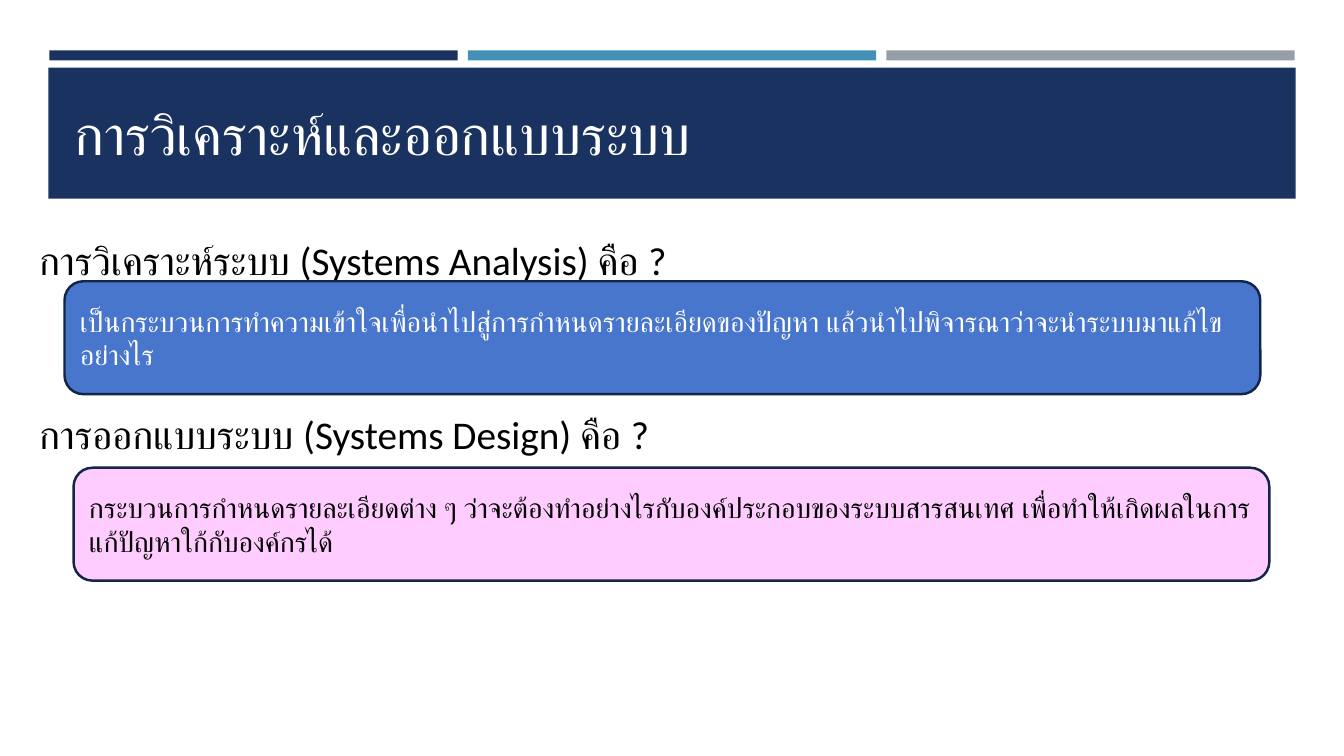
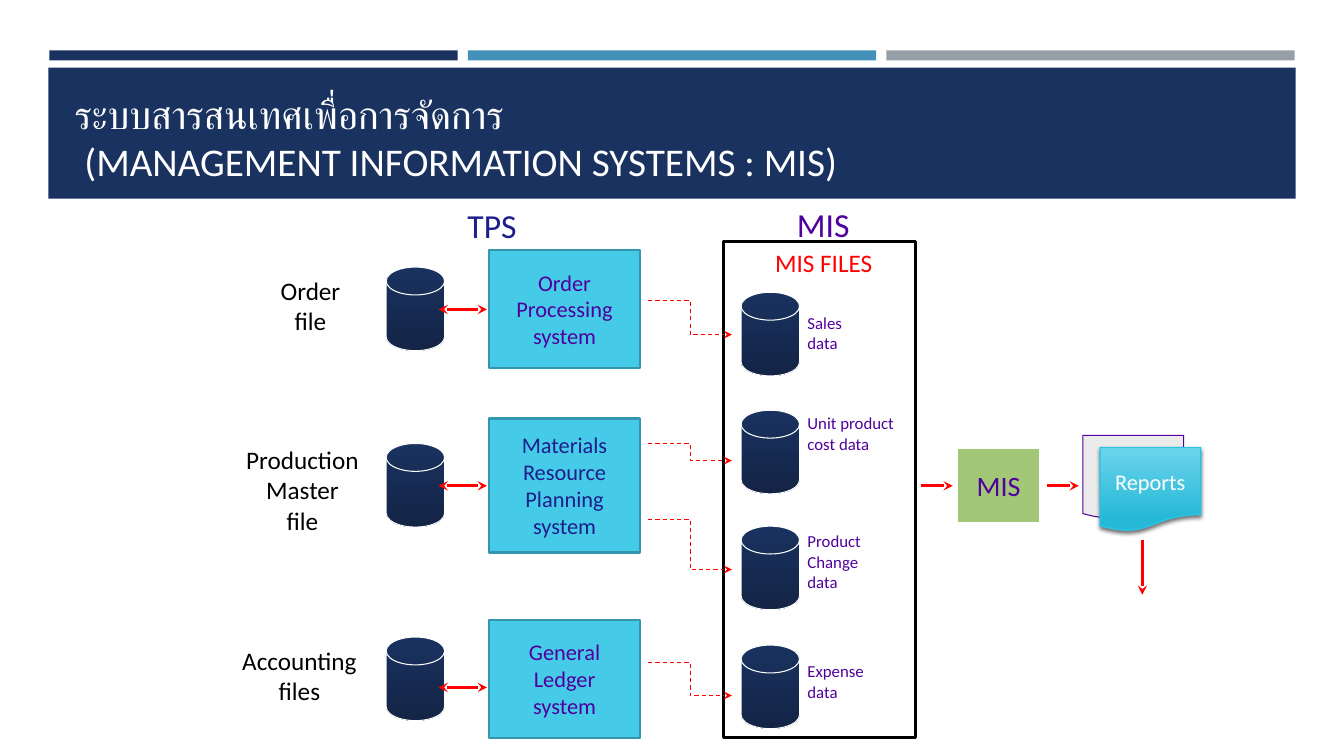
from pptx import Presentation
from pptx.dml.color import RGBColor
from pptx.enum.dml import MSO_LINE
from pptx.enum.shapes import MSO_CONNECTOR, MSO_SHAPE
from pptx.enum.text import MSO_ANCHOR, MSO_AUTO_SIZE, PP_ALIGN
from pptx.oxml import parse_xml
from pptx.oxml.ns import nsdecls, qn
from pptx.util import Inches, Pt
from lxml.etree import SubElement

NAVY, DEEP, STEEL, GREY = "1A3260", "132445", "4590B8", "969FA7"
WHITE, BLACK, RED = "FFFFFF", "000000", "FF0000"
PURPLE, INDIGO = "4F009E", "1D1D8B"
CYAN, TEAL, EDGE = "45CBE8", "3396AC", "132547"
FONT = "Calibri"
LEFT, CENTER = PP_ALIGN.LEFT, PP_ALIGN.CENTER
TOP, MIDDLE, BOTTOM = MSO_ANCHOR.TOP, MSO_ANCHOR.MIDDLE, MSO_ANCHOR.BOTTOM
AXIS = 4.82


def rgb(code):
    return RGBColor.from_string(code)


def apply(target, values):
    for name, value in values.items():
        setattr(target, name, value)


def write(shape, text, size, color, align=LEFT, anchor=TOP, **spacing):
    """Fill a shape with text; each newline starts a paragraph."""
    frame = shape.text_frame
    frame.text = text
    apply(frame, {"word_wrap": True, "auto_size": MSO_AUTO_SIZE.NONE,
                  "vertical_anchor": anchor})
    for para in frame.paragraphs:
        apply(para, {"alignment": align, **spacing})
        for run in para.runs:
            apply(run.font, {"name": FONT, "size": Pt(size)})
            run.font.color.rgb = rgb(color)


def label(slide, box, text, size, color, align=LEFT, **spacing):
    shape = slide.shapes.add_textbox(*map(Inches, box))
    write(shape, text, size, color, align, **spacing)
    return shape


def block(slide, kind, box, fill, line=None, width=1):
    """Add a preset shape; a tuple as fill is a downward gradient."""
    shape = slide.shapes.add_shape(kind, *map(Inches, box))
    shape.shadow.inherit = False
    if isinstance(fill, tuple):
        first, last, end = fill
        shape.fill.gradient()
        shape.fill.gradient_angle = 270
        stops = shape.fill.gradient_stops
        for stop, code, place in zip(stops, (first, last), (0, end)):
            stop.color.rgb = rgb(code)
            stop.position = place
    else:
        shape.fill.solid()
        shape.fill.fore_color.rgb = rgb(fill)
    if line:
        shape.line.color.rgb = rgb(line)
        shape.line.width = Pt(width)
    else:
        shape.line.fill.background()
    return shape


def arrow(slide, start, end, kind=MSO_CONNECTOR.STRAIGHT, width=2.25,
          dash=None, both=False):
    link = slide.shapes.add_connector(kind, *map(Inches, start + end))
    link.line.color.rgb = rgb(RED)
    apply(link.line, {"width": Pt(width), "dash_style": dash})
    props = link.line._get_or_add_ln()
    for tag in ("a:headEnd", "a:tailEnd") if both else ("a:tailEnd",):
        SubElement(props, qn(tag), type="stealth")
    SubElement(link._element.spPr, qn("a:effectLst"))


def disk(slide, left, top):
    block(slide, MSO_SHAPE.FLOWCHART_MAGNETIC_DISK, (left, top, 0.58, 0.83),
          (NAVY, DEEP, 1), WHITE, 0.75)


def drop_shadow(shape):
    props = shape._element.spPr
    props.remove(props.find(qn("a:effectLst")))
    props.append(parse_xml(
        f'<a:effectLst {nsdecls("a")}><a:outerShdw blurRad="{Pt(3)}" '
        f'dist="{Pt(2)}" dir="5400000" rotWithShape="0">'
        '<a:srgbClr val="000000"><a:alpha val="55000"/></a:srgbClr>'
        '</a:outerShdw></a:effectLst>'))


def add_bands(slide):
    """Draw the header bands and move them to the slide's layout."""
    bands = [((0.49 + 4.15 * i, 0.5, 4.05, 0.1), color)
             for i, color in enumerate((NAVY, STEEL, GREY))]
    bands.append(((0.48, 0.67, 12.37, 1.3), NAVY))
    tree = slide.slide_layout.shapes.element
    for i, (box, color) in enumerate(bands):
        shape = block(slide, MSO_SHAPE.RECTANGLE, box, color)
        tree.insert(2 + i, shape._element)


def new_slide(deck, text, size, anchor):
    slide = deck.slides.add_slide(deck.slide_layouts[5])
    title = slide.shapes.title
    places = zip(("left", "top", "width", "height"), (0.64, 0.77, 12.06, 1.11))
    apply(title, {name: Inches(value) for name, value in places})
    write(title, text, size, WHITE, LEFT, anchor)
    return slide


def analysis(deck):
    slide = new_slide(deck, "การวิเคราะห์และออกแบบระบบ", 40, MIDDLE)
    add_bands(slide)
    heads = label(slide, (0.29, 2.06, 12.65, 3.84),
                  "การวิเคราะห์ระบบ (Systems Analysis) คือ ?\n"
                  "การออกแบบระบบ (Systems Design) คือ ?", 28, BLACK,
                  line_spacing=1.5, space_before=Pt(6), space_after=Pt(6))
    heads.text_frame.paragraphs[1].space_before = Pt(68)
    cards = [
        (0.73, 4.64, "FFCCFF", BLACK,
         "กระบวนการกำหนดรายละเอียดต่าง ๆ ว่าจะต้องทำอย่างไรกับองค์ประกอบ"
         "ของระบบสารสนเทศ เพื่อทำให้เกิดผลในการแก้ปัญหาใก้กับองค์กรได้"),
        (0.64, 2.79, "4876CD", WHITE,
         "เป็นกระบวนการทำความเข้าใจเพื่อนำไปสู่การกำหนดรายละเอียดของปัญหา "
         "แล้วนำไปพิจารณาว่าจะนำระบบมาแก้ไขอย่างไร"),
    ]
    for left, top, fill, color, text in cards:
        card = block(slide, MSO_SHAPE.ROUNDED_RECTANGLE,
                     (left, top, 11.86, 1.12), fill, EDGE, 1.75)
        write(card, text, 20, color, anchor=MIDDLE)


def add_sources(slide):
    """Draw the files on the left and the systems that use them."""
    rows = [
        ("Order\nfile", (2.66, 2.68, 0.84, 0.71), 2.65, 3.07,
         "Order\nProcessing\nsystem", 2.48, 1.17, PURPLE),
        ("Production\nMaster\nfile", (2.27, 4.36, 1.46, 1.01), 4.4, AXIS,
         "Materials\nResource\nPlanning\nsystem", 4.15, 1.33, INDIGO),
        ("Accounting\nfiles", (2.22, 6.35, 1.5, 0.71), 6.32, 6.82,
         "General\nLedger\nsystem", 6.15, 1.17, PURPLE),
    ]
    for file, box, drum, level, system, top, height, color in rows:
        label(slide, box, file, 18, BLACK, CENTER)
        disk(slide, 3.83, drum)
        step = block(slide, MSO_SHAPE.RECTANGLE, (4.85, top, 1.5, height),
                     CYAN, TEAL, 1.75)
        write(step, system, 16, color, CENTER, MIDDLE)
        arrow(slide, (4.35, level), (4.83, level), both=True)


def add_store(slide):
    """Draw the framed data files and the dashed links into them."""
    block(slide, MSO_SHAPE.RECTANGLE, (7.18, 2.4, 1.9, 4.92),
          WHITE, BLACK, 2.25)
    rows = [
        ("Sales\ndata", 2.9, 3.05, 2.98, 3.32),
        ("Unit product\ncost data", 4.07, 4.05, 4.4, 4.57),
        ("Product\nChange\ndata", 5.22, 5.22, 5.15, 5.65),
        ("Expense\ndata", 6.4, 6.51, 6.57, 6.9),
    ]
    for text, drum, top, start, end in rows:
        disk(slide, 7.35, drum)
        label(slide, (7.91, top, 1.25, 0.6), text, 12, PURPLE)
        arrow(slide, (6.43, start), (7.26, end), MSO_CONNECTOR.ELBOW,
              0.75, MSO_LINE.DASH)


def add_output(slide):
    """Draw the MIS step and the reports that come out of it."""
    step = block(slide, MSO_SHAPE.RECTANGLE, (9.49, 4.44, 0.83, 0.75),
                 "A2C777", WHITE, 2)
    write(step, "MIS", 20, PURPLE, CENTER, MIDDLE)
    page = MSO_SHAPE.FLOWCHART_DOCUMENT
    block(slide, page, (10.74, 4.32, 1, 0.83), "EBEBEB", PURPLE, 0.75)
    report = block(slide, page, (10.91, 4.44, 1, 0.83),
                   ("6BD4EC", "26B8D7", 0.84), "2AC4E5")
    drop_shadow(report)
    write(report, "Reports", 16, WHITE, CENTER, MIDDLE)
    for start, end in [((9.13, AXIS), (9.45, AXIS)),
                       ((10.38, AXIS), (10.7, AXIS)),
                       ((11.33, 5.36), (11.33, 5.9))]:
        arrow(slide, start, end)


def management(deck):
    slide = new_slide(deck, "ระบบสารสนเทศเพื่อการจัดการ\v"
                      " (MANAGEMENT INFORMATION SYSTEMS : MIS)", 28, BOTTOM)
    add_sources(slide)
    add_store(slide)
    add_output(slide)
    for box, text, size, color in [
            ((2.85, 1.98, 4.06, 0.5), "TPS", 24, INDIGO),
            ((6.33, 1.97, 3.67, 0.5), "MIS", 24, PURPLE),
            ((6.92, 2.4, 2.5, 0.4), "MIS FILES", 18, RED)]:
        label(slide, box, text, size, color, CENTER)


def main():
    deck = Presentation()
    apply(deck, {"slide_width": Inches(13.33), "slide_height": Inches(7.5)})
    analysis(deck)
    management(deck)
    deck.save("out.pptx")


if __name__ == "__main__":
    main()
